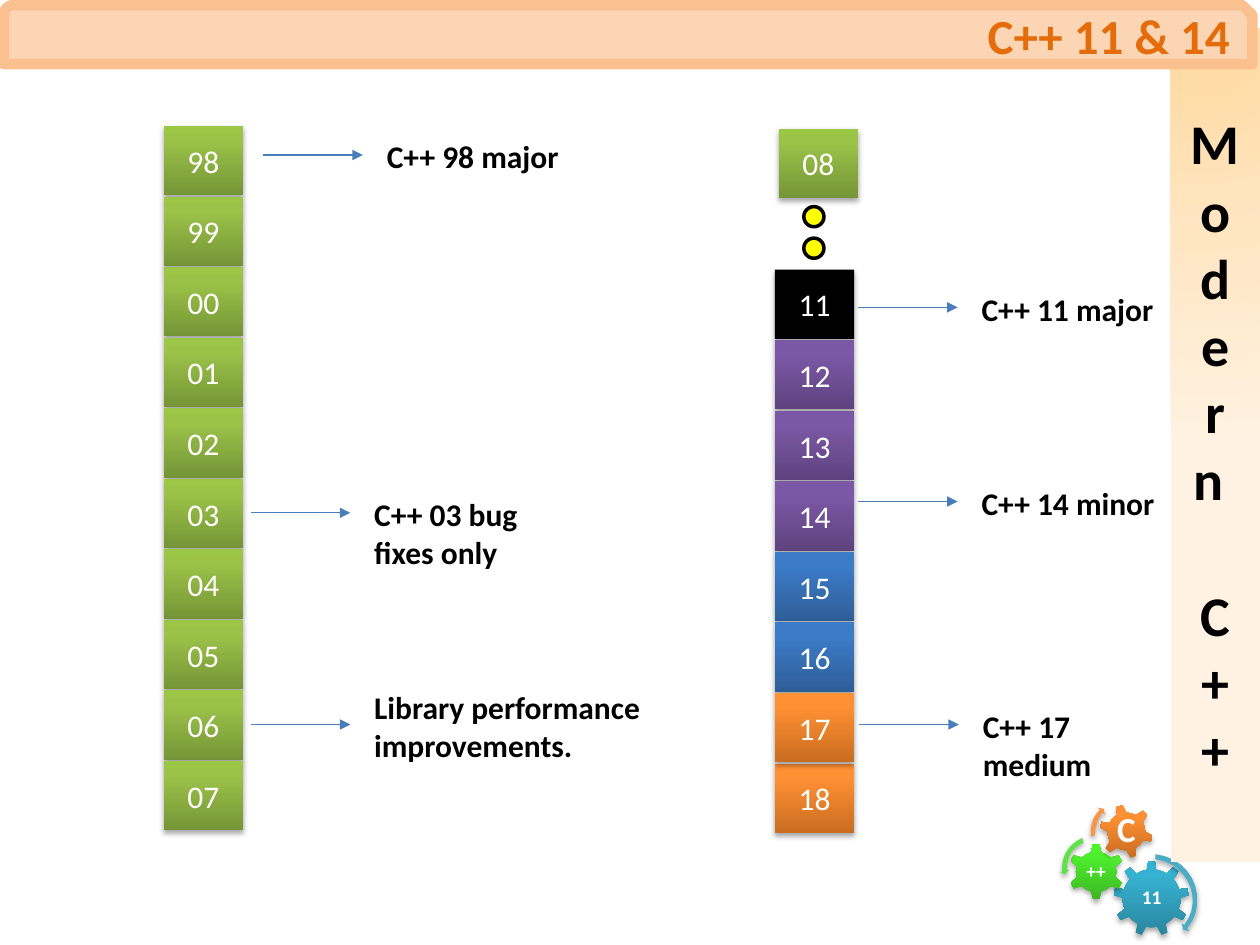
from dataclasses import dataclass
from math import cos, radians, sin

from lxml import etree
from pptx import Presentation
from pptx.dml.color import RGBColor
from pptx.enum.shapes import MSO_CONNECTOR, MSO_SHAPE
from pptx.enum.text import MSO_ANCHOR, PP_ALIGN
from pptx.oxml import parse_xml
from pptx.oxml.ns import qn
from pptx.util import Emu, Inches, Pt

RECTANGLE, OVAL = MSO_SHAPE.RECTANGLE, MSO_SHAPE.OVAL
STRAIGHT = MSO_CONNECTOR.STRAIGHT
LEFT, CENTER, RIGHT = PP_ALIGN.LEFT, PP_ALIGN.CENTER, PP_ALIGN.RIGHT
TOP, MIDDLE = MSO_ANCHOR.TOP, MSO_ANCHOR.MIDDLE

BLACK = RGBColor(0x00, 0x00, 0x00)
WHITE = RGBColor(0xFF, 0xFF, 0xFF)
YELLOW = RGBColor(0xFF, 0xFF, 0x00)
ARROW_BLUE = RGBColor(0x4A, 0x7E, 0xBB)
TITLE_ORANGE = RGBColor(0xE4, 0x6C, 0x0A)
BANNER_FILL = RGBColor(0xFC, 0xD5, 0xB5)
BANNER_EDGE = RGBColor(0xFA, 0xC0, 0x90)
ARC_TEAL = RGBColor(0x4B, 0xAC, 0xC6)
ARC_GREEN = RGBColor(0x60, 0xE1, 0x46)
ARC_ORANGE = RGBColor(0xF7, 0x96, 0x46)


def ramp(*codes: str) -> tuple:
    return tuple(RGBColor.from_string(code) for code in codes)


# Three-colour gradients, first colour at the bottom (or the focus)
GREEN = ramp("769537", "9BC348", "9CC646")
PURPLE = ramp("5E437E", "7B58A6", "7B57A8")
BLUE = ramp("2E5E97", "3C7BC7", "3A7CCA")
ORANGE = ramp("C96D20", "FF9034", "FF9035")
TEAL = ramp("2A869F", "37B1D1", "34B3D5")
LIME = ramp("3CB623", "4EF02E", "4CF52A")
CREAM = ramp("FFD89C", "FFE6C3", "FFF2E2")
UPWARD = '<a:lin ang="16200000" scaled="0"/>'
ROUND = '<a:path path="circle"><a:fillToRect l="38000" t="-20000" r="62000" b="120000"/></a:path>'

# The page is a grid of 10 columns by 7.5 rows
PAGE_WIDTH, PAGE_HEIGHT = Inches(10), Inches(7.5)
COLUMN, ROW = PAGE_WIDTH / 10, PAGE_HEIGHT / 7.5
CELL_WIDTH, CELL_HEIGHT, CELL_PITCH = 0.63, 0.55, 0.56
NAMESPACE = "http://schemas.openxmlformats.org/drawingml/2006/main"


@dataclass
class Gear:
    text: str
    size: int
    x: float
    y: float
    root: float
    tip: float
    teeth: int
    turn: float
    root_half: float
    tip_half: float
    colors: tuple


@dataclass
class Label:
    text: str
    x: float
    y: float
    rise: float = 0.19
    width: float = 1.65
    height: float = 0.36


GEARS = [
    Gear("11", 11, 9.14, 7.13, 0.23, 0.3, 9, 0, 8.6, 4.9, TEAL),
    Gear("++", 11, 8.7, 6.92, 0.16, 0.22, 6, 0, 14.5, 6.7, LIME),
    Gear("C", 20, 8.94, 6.6, 0.15, 0.21, 6, -15, 14.5, 6.2, ORANGE),
]
# Outlines: pairs are corners, six numbers are a Bezier curve
ARCS = [
    (ARC_TEAL, [(9.17, 6.78), (9.37, 6.8, 9.52, 6.97, 9.5, 7.17), (9.5, 7.24, 9.47, 7.31, 9.42, 7.37),
                (9.44, 7.39), (9.39, 7.38), (9.38, 7.33), (9.4, 7.34),
                (9.51, 7.2, 9.48, 7, 9.34, 6.89), (9.29, 6.85, 9.23, 6.83, 9.17, 6.82)]),
    (ARC_GREEN, [(8.59, 6.65), (8.6, 6.69), (8.51, 6.72, 8.46, 6.81, 8.47, 6.91), (8.49, 6.9),
                 (8.45, 6.94), (8.41, 6.92), (8.43, 6.92), (8.42, 6.8, 8.48, 6.7, 8.59, 6.65)]),
    (ARC_ORANGE, [(8.66, 6.64), (8.65, 6.56, 8.67, 6.48, 8.73, 6.43), (8.71, 6.41), (8.76, 6.42),
                  (8.77, 6.47), (8.75, 6.45), (8.71, 6.5, 8.69, 6.57, 8.69, 6.63)]),
]
BANNER = [(0.11, 0.04), (9.86, 0.04), (9.94, 0.12), (9.94, 0.51), (0.03, 0.51), (0.03, 0.12),
          (0.03, 0.07, 0.07, 0.04, 0.11, 0.04)]
OLD_YEARS = ["98", "99", "00", "01", "02", "03", "04", "05", "06", "07"]
# Year, row in the stack, fill; 17 comes last so that it overlaps 18
NEW_YEARS = [("11", 2, BLACK), ("12", 3, PURPLE), ("13", 4, PURPLE), ("14", 5, PURPLE),
             ("15", 6, BLUE), ("16", 7, BLUE), ("18", 9, ORANGE), ("17", 8, ORANGE)]
LABELS = [
    Label("C++ 98 major", 2.09, 1.23),
    Label("C++ 03 bug fixes only", 1.99, 4.07, height=0.68),
    Label("C++ 11 major", 6.81, 2.44),
    Label("C++ 14 minor", 6.81, 3.98),
    Label("C++ 17 medium", 6.82, 5.75, height=0.68),
    Label("Library performance improvements.", 1.99, 5.75, 0.34, 2.26, 0.68),
]


def place(*lengths: float) -> list:
    """Turn alternating columns and rows into slide lengths."""
    return [Emu(round(length * (ROW if i % 2 else COLUMN))) for i, length in enumerate(lengths)]


def paint(shape, fill, middle: int = 80, direction: str = UPWARD, shadow: bool = True) -> None:
    shape.line.fill.background()
    shape.shadow.inherit = False
    if isinstance(fill, RGBColor):
        shape.fill.solid()
        shape.fill.fore_color.rgb = fill
    else:
        stops = "".join(f'<a:gs pos="{share * 1000}"><a:srgbClr val="{color}"/></a:gs>'
                        for share, color in zip((0, middle, 100), fill))
        gradient = parse_xml(f'<a:gradFill xmlns:a="{NAMESPACE}" rotWithShape="1">'
                             f'<a:gsLst>{stops}</a:gsLst>{direction}</a:gradFill>')
        shape.fill.background()
        old = shape._element.spPr.find(qn("a:noFill"))
        old.getparent().replace(old, gradient)
    if shadow:
        effects = shape._element.spPr.find(qn("a:effectLst"))
        effects.append(parse_xml(
            f'<a:outerShdw xmlns:a="{NAMESPACE}" blurRad="38100" dist="22860" dir="5400000" '
            'rotWithShape="0"><a:srgbClr val="000000"><a:alpha val="35000"/></a:srgbClr></a:outerShdw>'))


def write(shape, lines, size: float, color: RGBColor, bold: bool = True, align=CENTER,
          anchor=MIDDLE, margin: float = 0.05, spacing: float = 1.0):
    frame = shape.text_frame
    frame.word_wrap = True
    frame.vertical_anchor = anchor
    frame.margin_left = frame.margin_right = Inches(margin)
    frame.margin_top = frame.margin_bottom = Inches(margin)
    for i, line in enumerate(lines):
        para = frame.add_paragraph() if i else frame.paragraphs[0]
        para.alignment, para.line_spacing = align, spacing
        span = para.add_run()
        span.text = line
        span.font.name, span.font.size = "Calibri", Pt(size)
        span.font.bold, span.font.color.rgb = bold, color
    return frame


def add_outline(page, outline: list):
    points = [outline[0]]
    for step in outline[1:]:
        if len(step) == 2:
            points.append(step)
            continue
        nodes = [points[-1], step[:2], step[2:4], step[4:]]
        for t in (k / 8 for k in range(1, 9)):
            weights = ((1 - t) ** 3, 3 * t * (1 - t) ** 2, 3 * t * t * (1 - t), t ** 3)
            points.append(tuple(sum(w * node[axis] for w, node in zip(weights, nodes))
                                for axis in (0, 1)))
    # The builder rounds to whole units, so it is given slide lengths
    corners = [place(*point) for point in points]
    builder = page.shapes.build_freeform(*corners[0], scale=1.0)
    builder.add_line_segments(corners[1:], close=True)
    return builder.convert_to_shape()


def add_gear(page, gear: Gear) -> None:
    step = 360 / gear.teeth
    profile = [(-gear.root_half, gear.root), (-gear.tip_half, gear.tip),
               (gear.tip_half, gear.tip), (gear.root_half, gear.root), (step / 2, gear.root)]
    outline = []
    for tooth in range(gear.teeth):
        for offset, radius in profile:
            angle = radians(gear.turn + tooth * step + offset)
            outline.append((gear.x + radius * sin(angle), gear.y - radius * cos(angle)))
    shape = add_outline(page, outline)
    paint(shape, gear.colors)
    write(shape, [gear.text], gear.size, WHITE, margin=0.02, spacing=0.9)


def add_year(page, year: str, x: float, top: float, row: int, fill) -> None:
    box = page.shapes.add_shape(
        RECTANGLE, *place(x, top + row * CELL_PITCH, CELL_WIDTH, CELL_HEIGHT))
    paint(box, fill)
    write(box, [year], 18, WHITE, bold=False)


def add_label(page, label: Label) -> None:
    arrow = page.shapes.add_connector(STRAIGHT, *place(label.x, label.y, label.x + 0.79, label.y))
    arrow.line.color.rgb, arrow.line.width = ARROW_BLUE, Pt(0.75)
    etree.SubElement(arrow.line._get_or_add_ln(), qn("a:tailEnd"), type="triangle")
    etree.SubElement(arrow._element.spPr, qn("a:effectLst"))
    box = page.shapes.add_textbox(
        *place(label.x + 0.93, label.y - label.rise, label.width, label.height))
    write(box, [label.text], 18, BLACK, align=LEFT, anchor=TOP)


def main() -> None:
    deck = Presentation()
    deck.slide_width, deck.slide_height = PAGE_WIDTH, PAGE_HEIGHT
    page = deck.slides.add_slide(deck.slide_layouts[6])

    # Gears and their turning arrows
    for gear in GEARS:
        add_gear(page, gear)
    for color, outline in ARCS:
        paint(add_outline(page, outline), color)

    # Year stacks, with dots for the skipped years
    for row, year in enumerate(OLD_YEARS):
        add_year(page, year, 1.3, 1.0, row, GREEN)
    add_year(page, "08", 6.18, 1.02, 0, GREEN)
    for y in (1.64, 1.89):
        dot = page.shapes.add_shape(OVAL, *place(6.38, y, 0.16, 0.16))
        paint(dot, YELLOW, shadow=False)
        dot.line.color.rgb, dot.line.width = BLACK, Pt(2)
    for year, row, fill in NEW_YEARS:
        add_year(page, year, 6.15, 1.02, row, fill)

    # Release labels
    for label in LABELS:
        add_label(page, label)

    # Side strip, one letter a line
    strip = page.shapes.add_shape(RECTANGLE, *place(9.29, 0.23, 0.71, 6.61))
    paint(strip, CREAM, 50, ROUND, shadow=False)
    letters = write(strip, ["M", "o", "d", "e", "r", "n ", "C", "+", "+"], 32, BLACK)
    letters.paragraphs[6].space_before = Pt(39)

    # Title banner
    banner = add_outline(page, BANNER)
    paint(banner, BANNER_FILL, shadow=False)
    banner.line.color.rgb, banner.line.width = BANNER_EDGE, Pt(6)
    write(banner, ["C++ 11 & 14"], 28, TITLE_ORANGE, align=RIGHT).margin_right = Inches(0.18)

    deck.save("out.pptx")


if __name__ == "__main__":
    main()
